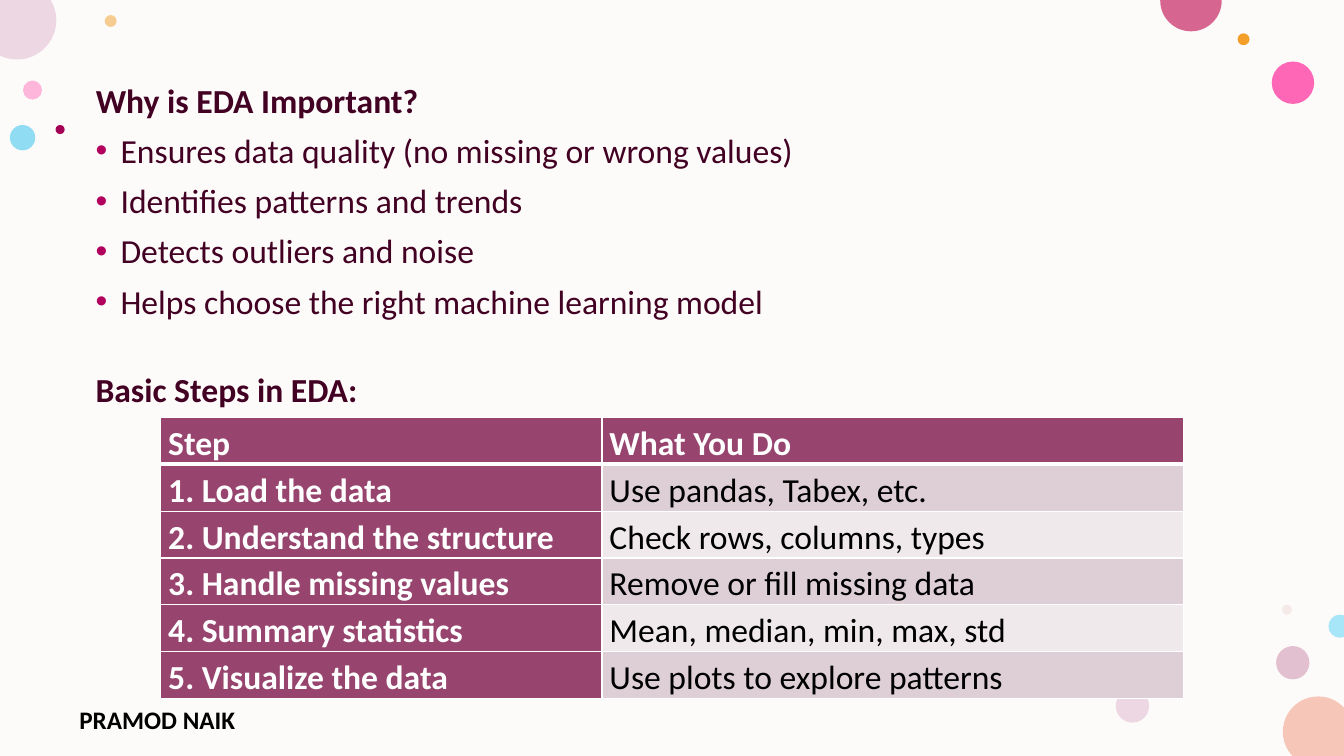
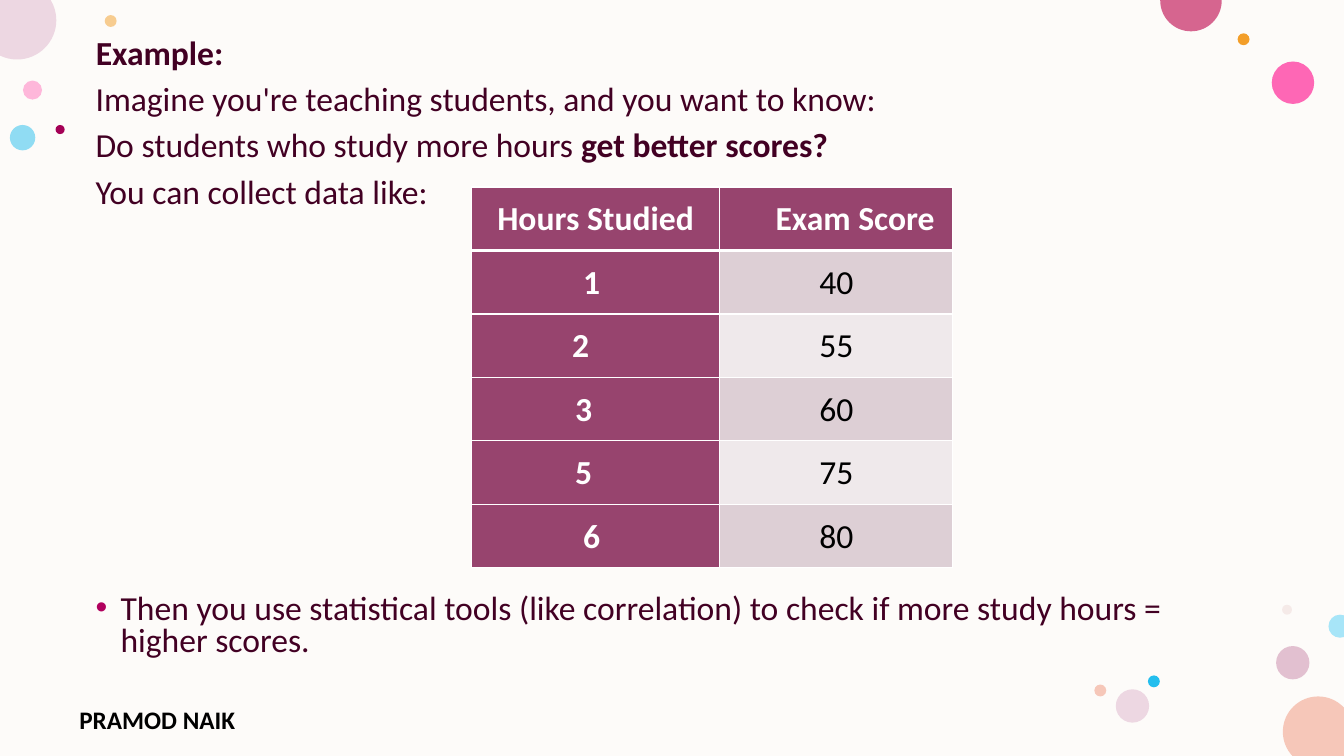
from dataclasses import dataclass
from math import acos, asin, atan2, cos, hypot, pi, sin, tan

from pptx import Presentation
from pptx.dml.color import RGBColor
from pptx.enum.shapes import MSO_SHAPE
from pptx.enum.text import MSO_ANCHOR, MSO_AUTO_SIZE, PP_ALIGN
from pptx.oxml.ns import qn
from pptx.oxml.xmlchemy import OxmlElement
from pptx.util import Cm, Pt

ELLIPSE = MSO_SHAPE.OVAL
RECTANGLE = MSO_SHAPE.RECTANGLE
TOP = MSO_ANCHOR.TOP
NO_AUTOFIT = MSO_AUTO_SIZE.NONE
LEFT = PP_ALIGN.LEFT
CENTER = PP_ALIGN.CENTER
TITLE_ONLY = 5


@dataclass(frozen=True)
class Theme:
    """Colours, fonts and sizes shared by the slides."""

    font: str = "Calibri"
    body_size: int = 24
    footer_size: int = 18
    paragraph_gap: int = 10
    background: str = "FDFBF9"
    ink: str = "420023"
    bullet: str = "B1005E"
    black: str = "000000"
    white: str = "FFFFFF"
    plum: str = "97446E"
    bands: tuple = ("DDCFD5", "EFE9EB")


THEME = Theme()
SLIDE_WIDTH, SLIDE_HEIGHT = Cm(33.87), Cm(19.05)
TEXT_LEFT, TEXT_WIDTH = Cm(2.16), Cm(29)

BUBBLES = [
    (0.58, 2.03, 0.48, "FF75BD", 50),
    (2.64, 0.38, 0.30, "F39E29", 50),
    (32.16, 16.28, 0.84, "C987A8", 50),
    (0.25, 3.15, 0.64, "24BEEE", 50),
    (32.05, 1.55, 1.07, "FF2F9C", 72),
    (31.19, 0.84, 0.30, "F39E29", 100),
    (32.31, 15.24, 0.25, "E3BEBE", 28),
    (28.93, 17.02, 0.30, "24BEEE", 100),
    (28.12, 17.37, 0.84, "EDD7E2", 100),
    (27.58, 17.25, 0.30, "F6C7B9", 100),
    (32.33, 17.55, 1.78, "F6C7B9", 100),
    (-0.56, -0.48, 1.98, "EDD7E2", 100),
    (29.24, -0.76, 1.55, "D6658F", 100),
    (1.40, 3.15, 0.23, "A40056", 100),
    (33.48, 15.49, 0.58, "A7E5F8", 100),
]


def add_child(parent, tag, **attributes):
    """Append an XML element with the given attributes."""
    child = OxmlElement(tag)
    for key, value in attributes.items():
        child.set(key, str(value))
    parent.append(child)
    return child


def paint(shape, colour):
    """Give a shape a flat fill without line or shadow."""
    shape.shadow.inherit = False
    shape.line.fill.background()
    shape.fill.solid()
    shape.fill.fore_color.rgb = RGBColor.from_string(colour)
    return shape


def style_font(font, colour, bold=False, size=THEME.body_size):
    """Apply the shared typeface with a colour, weight and size."""
    font.name, font.size, font.bold = THEME.font, Pt(size), bold
    font.color.rgb = RGBColor.from_string(colour)


def style_paragraph(paragraph, line_spacing, colour=THEME.ink, bold=False):
    """Set the line spacing of a paragraph and the font of its runs."""
    paragraph.line_spacing = line_spacing
    for run in paragraph.runs:
        style_font(run.font, colour, bold)


def add_bullet(paragraph):
    """Give a paragraph a coloured bullet with a hanging indent."""
    properties = paragraph._p.get_or_add_pPr()
    properties.set("marL", str(Cm(0.63)))
    properties.set("indent", str(-Cm(0.63)))
    add_child(add_child(properties, "a:buClr"), "a:srgbClr", val=THEME.bullet)
    add_child(properties, "a:buFont", typeface="Arial")
    add_child(properties, "a:buChar", char="•")


def on_slide(x, y):
    """Tell whether a point lies on the slide, edges included."""
    return -2 <= x <= SLIDE_WIDTH + 2 and -2 <= y <= SLIDE_HEIGHT + 2


def clipped_circle(shapes, left, top, diameter):
    """Draw a circle whose curved outline stops at the slide edges."""
    radius = diameter / 2
    cx, cy = left + radius, top + radius

    def rim(angle):
        """Return the point of the circle at an angle."""
        return cx + radius * cos(angle), cy + radius * sin(angle)

    angles = [quarter * pi / 2 for quarter in range(4)]
    for edge in (0, SLIDE_WIDTH):
        if abs(edge - cx) < radius:
            turn = acos((edge - cx) / radius)
            angles += [turn, -turn]
    for edge in (0, SLIDE_HEIGHT):
        if abs(edge - cy) < radius:
            turn = asin((edge - cy) / radius)
            angles += [turn, pi - turn]
    knots = [(angle % (2 * pi), *rim(angle)) for angle in angles if on_slide(*rim(angle))]
    knots += [(atan2(y - cy, x - cx) % (2 * pi), x, y)
              for x in (0, SLIDE_WIDTH) for y in (0, SLIDE_HEIGHT)
              if hypot(x - cx, y - cy) < radius]
    knots.sort()
    points = [(round(x), round(y)) for _, x, y in knots]
    builder = shapes.build_freeform(*points[0], scale=1.0)
    builder.add_line_segments(points[1:] + points[:1], close=True)
    circle = builder.convert_to_shape()
    sides = list(circle.element.iter(qn("a:lnTo")))
    following = knots[1:] + [(knots[0][0] + 2 * pi, *knots[0][1:])]
    for side, (start, x1, y1), (end, x2, y2) in zip(sides, knots, following):
        if not on_slide(*rim((start + end) / 2)):
            continue
        reach = radius * 4 / 3 * tan((end - start) / 4)
        curve = OxmlElement("a:cubicBezTo")
        for x, y in ((x1 - reach * sin(start), y1 + reach * cos(start)),
                     (x2 + reach * sin(end), y2 - reach * cos(end)), (x2, y2)):
            add_child(curve, "a:pt", x=round(x - circle.left), y=round(y - circle.top))
        side.getparent().replace(side, curve)
    return circle


def draw_bubble(shapes, left, top, diameter, colour, opacity):
    """Draw one decorative bubble."""
    left, top, diameter = Cm(left), Cm(top), Cm(diameter)
    if on_slide(left, top) and on_slide(left + diameter, top + diameter):
        bubble = shapes.add_shape(ELLIPSE, left, top, diameter, diameter)
    else:
        bubble = clipped_circle(shapes, left, top, diameter)
    paint(bubble, colour)
    if opacity < 100:
        tint = next(bubble.element.iter(qn("a:srgbClr")))
        add_child(tint, "a:alpha", val=opacity * 1000)
    return bubble


def draw_footer(shapes, left, top, width, height):
    """Write the presenter's name at the foot of the slide."""
    footer = shapes.add_textbox(left, top, width, height)
    footer.text_frame.word_wrap = True
    footer.text_frame.text = "PRAMOD NAIK"
    style_font(footer.text_frame.paragraphs[0].runs[0].font, THEME.black, True, THEME.footer_size)
    return footer


def decorate_layout(layout, slide):
    """Put the backdrop, bubbles and footer on the shared layout."""
    backdrop = slide.shapes.add_shape(RECTANGLE, 0, 0, SLIDE_WIDTH, SLIDE_HEIGHT)
    decorations = [paint(backdrop, THEME.background)]
    decorations += [draw_bubble(slide.shapes, *bubble) for bubble in BUBBLES]
    decorations.append(draw_footer(slide.shapes, Cm(1.75), Cm(17.63), Cm(6.22), Cm(0.81)))
    for decoration in decorations:
        layout.shapes.element.append(decoration.element)


def place_title(slide, wording, top, line_spacing):
    """Move and format the title placeholder."""
    title = slide.shapes.title
    title.left, title.top, title.width, title.height = TEXT_LEFT, top, TEXT_WIDTH, Cm(1.2)
    frame = title.text_frame
    frame.text = wording
    frame.auto_size, frame.vertical_anchor = NO_AUTOFIT, TOP
    frame.paragraphs[0].alignment = LEFT
    style_paragraph(frame.paragraphs[0], line_spacing, bold=True)


def place_text(slide, lines, top, height, line_spacing, bulleted=False):
    """Write a block of body paragraphs and return its frame."""
    frame = slide.shapes.add_textbox(TEXT_LEFT, top, TEXT_WIDTH, height).text_frame
    frame.word_wrap = True
    frame.text = "\n".join(lines)
    for index, paragraph in enumerate(frame.paragraphs):
        if bulleted:
            add_bullet(paragraph)
        if index:
            paragraph.space_before = Pt(THEME.paragraph_gap)
        style_paragraph(paragraph, line_spacing)
    return frame


def border_cell(cell, is_header):
    """Draw white rules round a cell, heavier below the header."""
    properties = cell._tc.get_or_add_tcPr()
    for side in "LRTB":
        weight = 3 if is_header and side == "B" else 1
        rule = add_child(properties, f"a:ln{side}", w=Pt(weight))
        add_child(add_child(rule, "a:solidFill"), "a:srgbClr", val=THEME.white)


def place_table(slide, rows, left, top, column_widths, row_height, margins,
                alignment=LEFT, nudges=None):
    """Build a table with a plum header row and first column."""
    table = slide.shapes.add_table(len(rows), len(column_widths), left, top,
                                   sum(column_widths), row_height * len(rows)).table
    for column, width in zip(table.columns, column_widths):
        column.width = width
    side_margin, end_margin = margins
    for r, row in enumerate(rows):
        for c, wording in enumerate(row):
            cell = table.cell(r, c)
            is_label = r == 0 or c == 0
            nudge = (nudges or {}).get((r, c), 0)
            cell.margin_left = side_margin + Cm(max(nudge, 0))
            cell.margin_right = side_margin + Cm(max(-nudge, 0))
            cell.margin_top = cell.margin_bottom = end_margin
            border_cell(cell, r == 0)
            cell.fill.solid()
            fill = THEME.plum if is_label else THEME.bands[(r - 1) % 2]
            cell.fill.fore_color.rgb = RGBColor.from_string(fill)
            cell.text_frame.text = wording
            paragraph = cell.text_frame.paragraphs[0]
            paragraph.alignment = alignment
            style_paragraph(paragraph, 1.15, THEME.white if is_label else THEME.black, is_label)


def build_importance_slide(slide):
    """Explain why EDA matters and list its basic steps."""
    place_title(slide, "Why is EDA Important?", Cm(2.01), 0.9)
    reasons = place_text(slide, [
        "Ensures data quality (no missing or wrong values)", "Identifies patterns and trends",
        "Detects outliers and noise", "Helps choose the right machine learning model",
    ], Cm(3.26), Cm(7.2), 0.9, bulleted=True)
    steps_heading = reasons.add_paragraph()
    steps_heading.text = "Basic Steps in EDA:"
    steps_heading.space_before = Pt(37.2)
    style_paragraph(steps_heading, 0.9, bold=True)
    steps = [
        ("Step", "What You Do"),
        ("1. Load the data", "Use pandas, Tabex, etc."),
        ("2. Understand the structure", "Check rows, columns, types"),
        ("3. Handle missing values", "Remove or fill missing data"),
        ("4. Summary statistics", "Mean, median, min, max, std"),
        ("5. Visualize the data", "Use plots to explore patterns"),
    ]
    place_table(slide, steps, Cm(4.05), Cm(10.52), (Cm(11.12), Cm(14.66)), Cm(1.18),
                (Cm(0.19), Cm(0)))


def build_example_slide(slide):
    """Show study hours against exam scores."""
    place_title(slide, "Example:", Cm(0.88), 0.8)
    introduction = place_text(slide, [
        "Imagine you're teaching students, and you want to know:",
        "Do students who study more hours ", "You can collect data like:",
    ], Cm(2.04), Cm(3.6), 0.8)
    question_end = introduction.paragraphs[1].add_run()
    question_end.text = "get better scores?"
    style_font(question_end.font, THEME.ink, True)
    scores = [("Hours Studied", "Exam Score"), ("1", "40"), ("2", "55"),
              ("3", "60"), ("5", "75"), ("6", "80")]
    nudges = {(0, 1): 0.95, (1, 0): -0.2, (2, 0): -0.75, (3, 0): -0.6,
              (4, 0): -0.6, (5, 0): -0.2}
    place_table(slide, scores, Cm(11.88), Cm(4.71), (Cm(6.26), Cm(5.87)), Cm(1.6),
                (Cm(0.15), Cm(0.15)), CENTER, nudges)
    place_text(slide, ["Then you use statistical tools (like correlation) to check if "
                       "more study hours = higher scores."],
               Cm(14.86), Cm(2), 0.8, bulleted=True)


def main():
    """Build and save the presentation."""
    deck = Presentation()
    deck.slide_width, deck.slide_height = SLIDE_WIDTH, SLIDE_HEIGHT
    layout = deck.slide_layouts[TITLE_ONLY]
    importance, example = (deck.slides.add_slide(layout) for _ in range(2))
    decorate_layout(layout, importance)
    build_importance_slide(importance)
    build_example_slide(example)
    deck.save("out.pptx")


if __name__ == "__main__":
    main()
